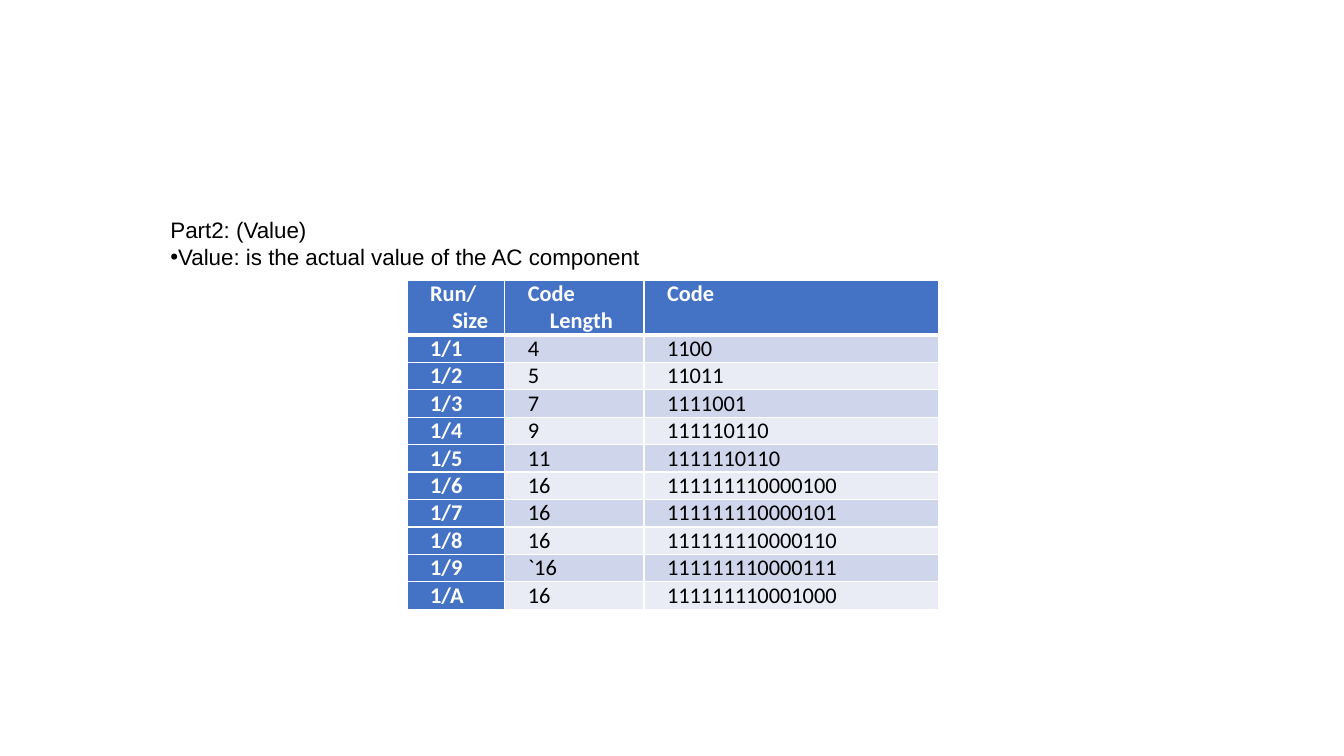
from lxml import etree
from pptx import Presentation
from pptx.dml.color import RGBColor
from pptx.enum.text import MSO_ANCHOR, MSO_AUTO_SIZE, PP_ALIGN
from pptx.oxml.ns import qn
from pptx.util import Cm, Pt

JUSTIFY = PP_ALIGN.JUSTIFY
LEFT = PP_ALIGN.LEFT
MIDDLE = MSO_ANCHOR.MIDDLE
NO_FIT = MSO_AUTO_SIZE.NONE

COLOURS = {
    "text": "000000",
    "white": "FFFFFF",
    "header": "4472C4",
    "odd": "CFD5EA",
    "even": "E9EBF5",
}
TEXT_SIZE = 16

INTRO = [("Part2: (Value)", None),
         ("Value: is the actual value of the AC component", "•")]
CODES = [
    ("Run/Size", "Code Length", "Code"),
    ("1/1", "4", "1100"),
    ("1/2", "5", "11011"),
    ("1/3", "7", "1111001"),
    ("1/4", "9", "111110110"),
    ("1/5", "11", "1111110110"),
    ("1/6", "16", "111111110000100"),
    ("1/7", "16", "111111110000101"),
    ("1/8", "16", "111111110000110"),
    ("1/9", "`16", "111111110000111"),
    ("1/A", "16", "111111110001000"),
]
COLUMN_WIDTHS = [2.46, 3.51, 7.42]
ROW_HEIGHT = 0.69


def colour(name):
    """Return the named colour."""
    return RGBColor.from_string(COLOURS[name])


def style_spans(paragraph, font, shade, bold=False):
    """Format every run of a paragraph."""
    for span in paragraph.runs:
        span.font.name = font
        span.font.size = Pt(TEXT_SIZE)
        span.font.bold = bold
        span.font.color.rgb = colour(shade)


def set_indent(paragraph, left, first):
    """Set the left margin and first-line indent in centimetres."""
    properties = paragraph._p.get_or_add_pPr()
    properties.set("marL", str(Cm(left)))
    properties.set("indent", str(Cm(first)))
    return properties


def add_intro(page):
    """Fill the body placeholder with the introduction."""
    box = page.placeholders[1]
    box.left, box.top, box.width, box.height = Cm(4.04), Cm(5.49), Cm(29.8), Cm(1.27)
    frame = box.text_frame
    frame.text = "\n".join(text for text, _ in INTRO)
    frame.word_wrap = True
    frame.auto_size = NO_FIT
    frame.vertical_anchor = MIDDLE
    for paragraph, (_, bullet) in zip(frame.paragraphs, INTRO):
        paragraph.alignment = LEFT
        paragraph.space_before = paragraph.space_after = Pt(0)
        paragraph.line_spacing = 1.0
        properties = set_indent(paragraph, 0, 0)
        if bullet:
            etree.SubElement(properties, qn("a:buChar"), char=bullet)
        else:
            etree.SubElement(properties, qn("a:buNone"))
        style_spans(paragraph, "Arial", "text")


def set_borders(cell, row):
    """Draw white cell borders, thicker below the header row."""
    properties = cell._tc.get_or_add_tcPr()
    widths = {"L": 1, "R": 1, "T": 3 if row == 1 else 1, "B": 3 if row == 0 else 1}
    for side, width in widths.items():
        line = etree.SubElement(properties, qn(f"a:ln{side}"), w=str(Pt(width)))
        fill = etree.SubElement(line, qn("a:solidFill"))
        etree.SubElement(fill, qn("a:srgbClr"), val=COLOURS["white"])


def format_cell(cell, text, row, column):
    """Write and style one table cell."""
    heading = row == 0 or column == 0
    cell.margin_left = cell.margin_right = Cm(0.19)
    cell.margin_top = cell.margin_bottom = 0
    set_borders(cell, row)
    cell.fill.solid()
    band = "odd" if row % 2 else "even"
    cell.fill.fore_color.rgb = colour("header" if heading else band)
    cell.text_frame.text = text
    paragraph = cell.text_frame.paragraphs[0]
    paragraph.alignment = JUSTIFY
    set_indent(paragraph, 0.95, -0.56)
    style_spans(paragraph, "Calibri", "white" if heading else "text", heading)


def add_code_table(page):
    """Add the table of run/size codes; its header is two rows tall."""
    heights = [2 * ROW_HEIGHT] + [ROW_HEIGHT] * (len(CODES) - 1)
    table = page.shapes.add_table(
        len(CODES), len(COLUMN_WIDTHS), Cm(10.26), Cm(7.06),
        Cm(sum(COLUMN_WIDTHS)), Cm(sum(heights))).table
    for column, width in zip(table.columns, COLUMN_WIDTHS):
        column.width = Cm(width)
    for row, height in zip(table.rows, heights):
        row.height = Cm(height)
    for row, values in enumerate(CODES):
        for column, text in enumerate(values):
            format_cell(table.cell(row, column), text, row, column)


deck = Presentation()
deck.slide_width, deck.slide_height = Cm(33.87), Cm(19.05)
page = deck.slides.add_slide(deck.slide_layouts[1])
title = page.shapes.title._element
title.getparent().remove(title)
add_code_table(page)
add_intro(page)
deck.save("out.pptx")
